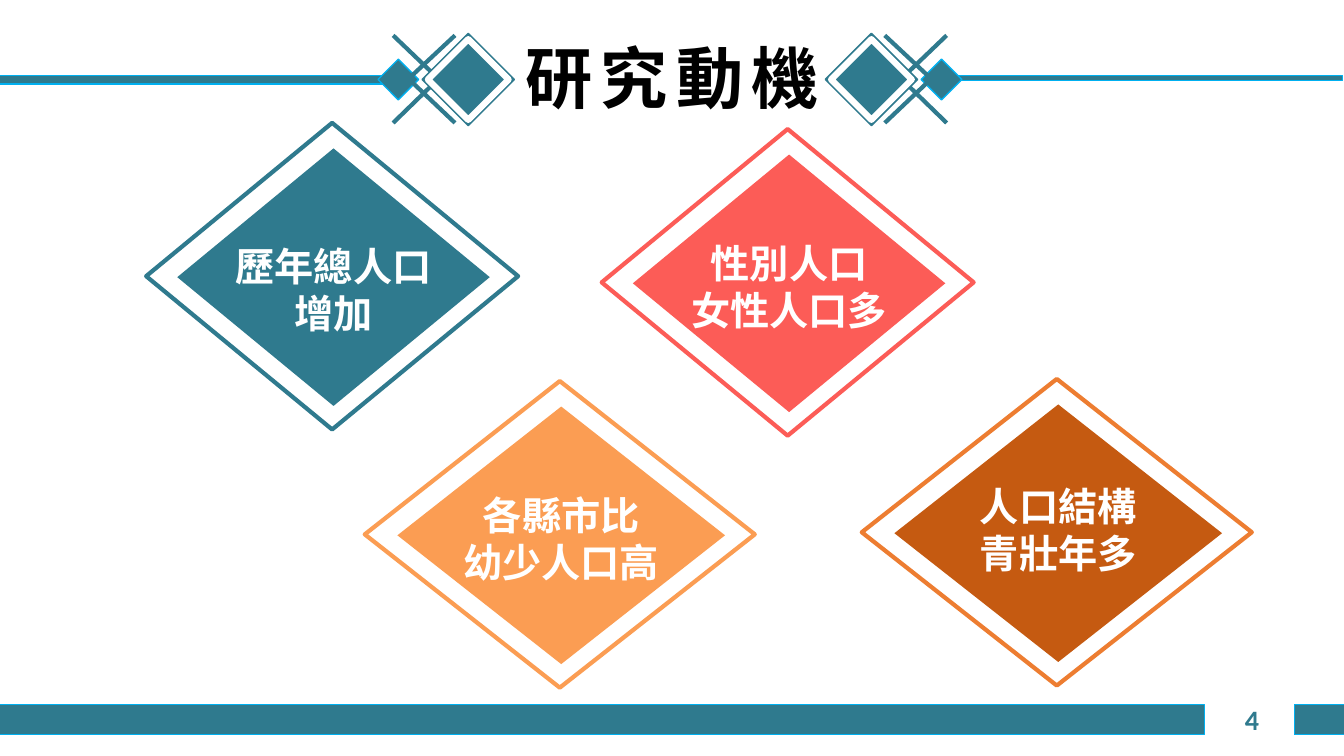
from lxml import etree
from pptx import Presentation
from pptx.dml.color import RGBColor
from pptx.enum.shapes import MSO_CONNECTOR, MSO_SHAPE
from pptx.enum.text import MSO_ANCHOR, PP_ALIGN
from pptx.oxml.ns import qn
from pptx.util import Pt

COLORS = {
    "teal": "2F7A8E", "cyan": "00B0F0", "white": "FFFFFF", "black": "000000",
    "coral": "FC5C57", "apricot": "FB9D53", "rust": "C55A11", "orange": "ED7D31",
}


def color(name):
    """Return the named palette colour."""
    return RGBColor.from_string(COLORS[name])


def add_figure(slide, kind, box, fill=None, line=None, line_width=1):
    """Add a flat preset shape in a (left, top, width, height) box."""
    shape = slide.shapes.add_shape(kind, *map(Pt, box))
    shape.shadow.inherit = False
    if fill:
        shape.fill.solid()
        shape.fill.fore_color.rgb = color(fill)
    else:
        shape.fill.background()
    if line:
        shape.line.color.rgb = color(line)
        shape.line.width = Pt(line_width)
    else:
        shape.line.fill.background()


def add_stroke(slide, start, end):
    """Add a thick teal line between two points."""
    connector = slide.shapes.add_connector(
        MSO_CONNECTOR.STRAIGHT, *map(Pt, (*start, *end)))
    connector.line.color.rgb = color("teal")
    connector.line.width = Pt(3)
    etree.SubElement(connector._element.spPr, qn("a:effectLst"))


def add_text(slide, box, lines, font_name, size, fill, align,
             anchor=MSO_ANCHOR.TOP, wrap=True, spacing=None):
    """Add a bold text box with one paragraph per line."""
    frame = slide.shapes.add_textbox(*map(Pt, box)).text_frame
    frame.word_wrap = wrap
    frame.vertical_anchor = anchor
    frame.text = "\n".join(lines)
    for paragraph in frame.paragraphs:
        paragraph.alignment = align
        font = paragraph.font
        font.name, font.size, font.bold = font_name, Pt(size), True
        font.color.rgb = color(fill)
        properties = font._element
        etree.SubElement(properties, qn("a:ea"), typeface=font_name)
        if spacing:
            properties.set("spc", str(spacing * 100))


def add_ornament(slide, box, mirrored=False):
    """Draw the crossed lines and diamonds beside the title."""
    left, top, width, height = box

    def across(x, extent=0):
        return left + (width - x - extent if mirrored else x)

    def diamond(x, y, size, line, line_width=1):
        add_figure(slide, MSO_SHAPE.DIAMOND,
                   (across(x, size), top + y, size, size), "teal", line, line_width)

    def chevron(open_x, tip_x):
        for y in (1.5, 64):
            add_stroke(slide, (across(open_x), top + y), (across(tip_x), top + 32.5))

    def large_diamond():
        diamond(31.5, 0, 66, "teal")
        diamond(35.7, 4.2, 57.6, "white", 4.5)

    diamond(0, 18.5, 29, "cyan")
    chevron(10.8, 43.2)
    if mirrored:
        chevron(55, 21.8)
        large_diamond()
    else:
        large_diamond()
        chevron(55, 21.8)


def add_header(slide, box):
    """Draw the title between its rules and ornaments."""
    left, top, width, height = box
    bar_width = 275
    for x, bar_height in ((left - 0.7, 6), (left + width - bar_width - 1, 3.6)):
        add_figure(slide, MSO_SHAPE.RECTANGLE,
                   (x, top + 30.2, bar_width, bar_height), "teal", "cyan")
    add_ornament(slide, (left + 270, top, 97.5, height))
    add_ornament(slide, (left + 589.5, top, 97.5, height), mirrored=True)
    add_text(slide, (left + 368, top - 1.5, 232.5, 65.5), ["研究動機"],
             "Noto Sans CJK SC", 48, "black", PP_ALIGN.LEFT, wrap=False, spacing=6)


def add_card(slide, box, text_offset, lines, fill, outline):
    """Draw a framed diamond with centred text."""
    left, top, width, height = box
    inner_width, inner_height = width * 0.84, height * 0.84
    add_figure(slide, MSO_SHAPE.DIAMOND,
               (left + (width - inner_width) / 2 + 1, top + (height - inner_height) / 2 + 0.7,
                inner_width, inner_height), fill)
    add_figure(slide, MSO_SHAPE.DIAMOND, box, None, outline, 3)
    text_width = width * 0.59
    add_text(slide, (left + (width - text_width) / 2 + 1, top + text_offset, text_width, 75),
             lines, "Noto Sans CJK TC", 28, "white", PP_ALIGN.CENTER)


def add_footer(slide, box, number):
    """Draw the split bottom bar with the page number in its gap."""
    left, top, width, height = box
    for x, bar_width in ((left - 0.7, 861), (left + width - 35.5, 36)):
        add_figure(slide, MSO_SHAPE.RECTANGLE, (x, top, bar_width, height), "teal", "cyan")
    add_text(slide, (left + 690.5, top - 3.6, 216, 28.8), [number],
             "Calibri", 20, "teal", PP_ALIGN.RIGHT, MSO_ANCHOR.MIDDLE)


def main():
    """Build and save the slide."""
    presentation = Presentation()
    presentation.slide_width, presentation.slide_height = Pt(960), Pt(540)
    slide = presentation.slides.add_slide(presentation.slide_layouts[6])
    add_header(slide, (0, 23.8, 960, 66))
    add_footer(slide, (0, 503.3, 960, 21.6), "4")
    cards = [
        ((104.4, 87.8, 265.7, 219), 82, ["歷年總人口增加"], "teal", "teal"),
        ((429.8, 92.2, 265.7, 219), 75, ["性別人口", "女性人口多"], "coral", "coral"),
        ((260.6, 272.2, 278.6, 219), 75, ["各縣市比", "幼少人口高"], "apricot", "apricot"),
        ((615.6, 270.7, 278.6, 219), 70, ["人口結構", "青壯年多"], "rust", "orange"),
    ]
    for card in cards:
        add_card(slide, *card)
    presentation.save("out.pptx")


if __name__ == "__main__":
    main()
